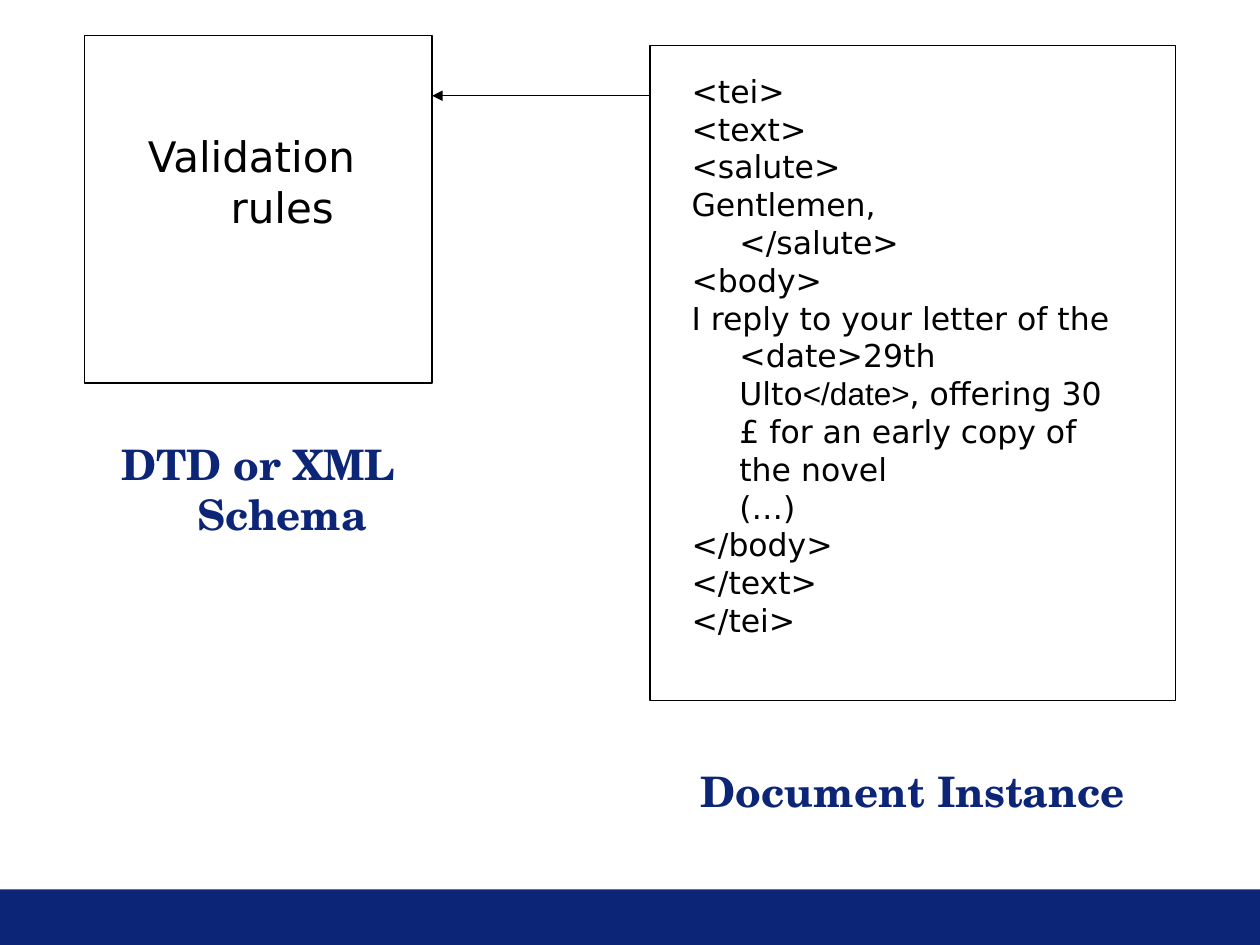
from lxml.etree import SubElement
from pptx import Presentation
from pptx.dml.color import RGBColor
from pptx.enum.shapes import MSO_CONNECTOR, MSO_SHAPE
from pptx.enum.text import MSO_ANCHOR, PP_ALIGN
from pptx.oxml.ns import qn
from pptx.util import Inches, Pt

BLACK = RGBColor(0x00, 0x00, 0x00)
WHITE = RGBColor(0xFF, 0xFF, 0xFF)
NAVY = RGBColor(0x0C, 0x25, 0x77)

SANS, SERIF, PLAIN = "DejaVu Sans", "TeX Gyre Schola", "Arial"
COLS, ROWS = 100, 75
WIDTH, HEIGHT = Inches(10), Inches(7.5)
HANG = Inches(0.38)

SCHEMA_COL, SCHEMA_SIZE = 6.7, 27.6
DOCUMENT_COL = 51.6
ARROW_ROW = 7.6

DOCUMENT = [
    "<tei>",
    "<text>",
    "<salute>",
    "Gentlemen,\n</salute>",
    "<body>",
    "I reply to your letter of the <date>29th Ulto|</date>|"
    ", offering 30 £ for an early copy of the novel\n(…)",
    "</body>",
    "</text>",
    "</tei>",
]


def grid(col, row):
    return round(WIDTH * col / COLS), round(HEIGHT * row / ROWS)


def add_box(s, col, row, cols, rows, fill, line=None):
    sp = s.shapes.add_shape(MSO_SHAPE.RECTANGLE, *grid(col, row), *grid(cols, rows))
    sp.shadow.inherit = False
    sp.fill.solid()
    sp.fill.fore_color.rgb = fill
    if line is None:
        sp.line.fill.background()
    else:
        sp.line.color.rgb = line
        sp.line.width = Pt(0.75)


def add_lines(p, text, font, size, color, bold):
    for i, line in enumerate(text.split("\n")):
        if i:
            p.add_line_break()
        r = p.add_run()
        r.text = line
        r.font.name = font
        r.font.size = Pt(size)
        r.font.color.rgb = color
        r.font.bold = bold


def add_text(s, col, row, cols, rows, paragraphs, size=24, font=SANS,
             color=BLACK, bold=False, align=PP_ALIGN.CENTER):
    tf = s.shapes.add_textbox(*grid(col, row), *grid(cols, rows)).text_frame
    tf.word_wrap = True
    tf.vertical_anchor = MSO_ANCHOR.TOP
    for i, text in enumerate(paragraphs):
        p = tf.add_paragraph() if i else tf.paragraphs[0]
        p.alignment = align
        pPr = p._p.get_or_add_pPr()
        pPr.set("marL", str(HANG))
        pPr.set("indent", str(-HANG))
        for k, part in enumerate(text.split("|")):
            add_lines(p, part, PLAIN if k % 2 else font, size, color, bold)


def add_caption(s, col, row, cols, rows, text):
    add_text(s, col, row, cols, rows, [text], font=SERIF, color=NAVY, bold=True)


def add_arrow(s, start, end):
    c = s.shapes.add_connector(MSO_CONNECTOR.STRAIGHT, *grid(*start), *grid(*end))
    c.line.color.rgb = BLACK
    c.line.width = Pt(0.75)
    SubElement(c.line._get_or_add_ln(), qn("a:tailEnd"), type="triangle")
    SubElement(c._element.spPr, qn("a:effectLst"))


def main():
    prs = Presentation()
    prs.slide_width, prs.slide_height = WIDTH, HEIGHT
    s = prs.slides.add_slide(prs.slide_layouts[6])

    add_box(s, 0, 70.6, COLS, ROWS - 70.6, NAVY)

    add_box(s, DOCUMENT_COL, 3.6, 41.7, 52, WHITE, BLACK)
    add_text(s, 53.9, 5.2, 36.2, 48.8, DOCUMENT, size=18, align=PP_ALIGN.LEFT)

    add_box(s, SCHEMA_COL, 2.8, SCHEMA_SIZE, SCHEMA_SIZE, WHITE, BLACK)
    add_text(s, SCHEMA_COL, 9.9, SCHEMA_SIZE, 15, ["Validation \nrules"])

    add_caption(s, SCHEMA_COL, 34.3, SCHEMA_SIZE, 15, "DTD or XML Schema")
    add_caption(s, 50.8, 60.3, 43.3, 8.7, "Document Instance")

    add_arrow(s, (DOCUMENT_COL, ARROW_ROW), (SCHEMA_COL + SCHEMA_SIZE, ARROW_ROW))

    prs.save("out.pptx")


if __name__ == "__main__":
    main()
